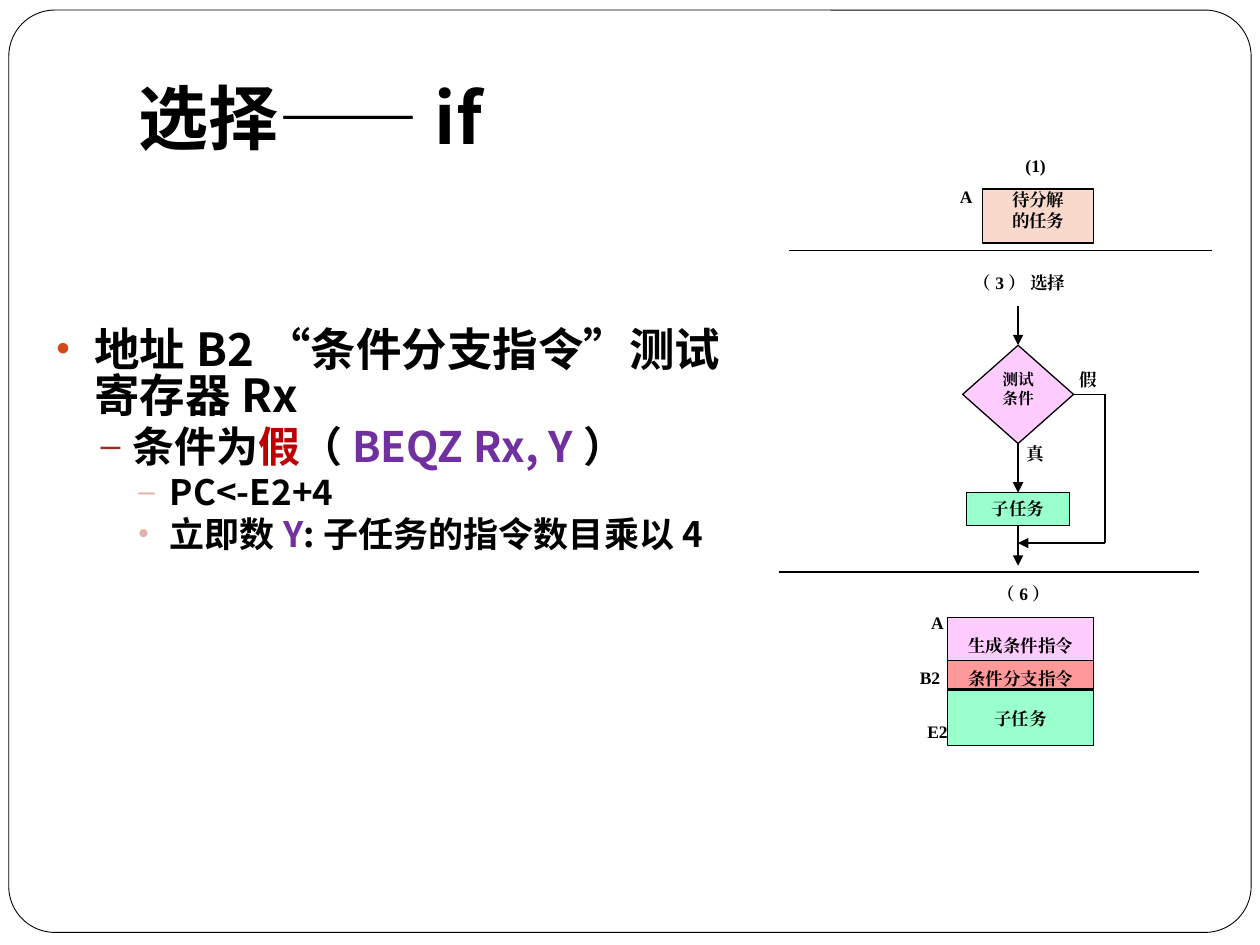
import pptx
import pptx.dml.color
import pptx.enum.shapes
import pptx.enum.text
import pptx.oxml.ns
import pptx.util
from lxml import etree

Inches, Pt = pptx.util.Inches, pptx.util.Pt
SHAPE = pptx.enum.shapes.MSO_SHAPE
ALIGN = pptx.enum.text.PP_ALIGN
ANCHOR = pptx.enum.text.MSO_ANCHOR
qn = pptx.oxml.ns.qn

SANS, SERIF = "Noto Sans CJK SC", "Times New Roman"
COLORS = {
    "white": "FFFFFF", "black": "000000", "red": "C00000", "purple": "7030A0",
    "peach": "FAD9CD", "pink": "FFCCFF", "coral": "FF9999", "mint": "99FFCC",
    "bullet1": "D34817", "bullet2": "9B2D1F", "bullet3": "E6B1AB",
}
TOP, LEFT, BOTTOM, RIGHT = range(4)


def rgb(name):
    return pptx.dml.color.RGBColor.from_string(COLORS[name])


def add_text(paragraph, text, size=10, font=SERIF, color="black"):
    """Add one bold run, with the same font for Latin and Chinese."""
    run = paragraph.add_run()
    run.text = text
    run.font.size = Pt(size)
    run.font.bold = True
    run.font.name = font
    run.font.color.rgb = rgb(color)
    etree.SubElement(run.font._element, qn("a:ea"), typeface=font)


class SlideBuilder:
    def __init__(self, slide, line_width=0.75):
        self.slide = slide
        self.line_width = line_width

    def frame(self, shape, insets, anchor):
        frame = shape.text_frame
        frame.word_wrap = True
        frame.vertical_anchor = anchor
        (frame.margin_left, frame.margin_top,
         frame.margin_right, frame.margin_bottom) = map(Inches, insets)
        return frame

    def textbox(self, box, insets=(0.1, 0.05, 0.1, 0.05), anchor=ANCHOR.TOP):
        shape = self.slide.shapes.add_textbox(*map(Inches, box))
        return self.frame(shape, insets, anchor)

    def label(self, text, box, **frame_format):
        add_text(self.textbox(box, **frame_format).paragraphs[0], text)

    def block(self, box, fill, lines=(), kind=SHAPE.RECTANGLE, size=10,
              insets=(0.1, 0, 0.1, 0), anchor=ANCHOR.MIDDLE, width=None):
        shape = self.slide.shapes.add_shape(kind, *map(Inches, box))
        shape.shadow.inherit = False
        shape.fill.solid()
        shape.fill.fore_color.rgb = rgb(fill)
        shape.line.color.rgb = rgb("black")
        shape.line.width = Pt(width or self.line_width)
        frame = self.frame(shape, insets, anchor)
        for i, text in enumerate(lines):
            paragraph = frame.add_paragraph() if i else frame.paragraphs[0]
            paragraph.alignment = ALIGN.CENTER
            add_text(paragraph, text, size)
        return shape

    def line(self, start, end, arrow=False, source=None, target=None):
        """source and target are (shape, side) pairs to join."""
        connector = self.slide.shapes.add_connector(
            pptx.enum.shapes.MSO_CONNECTOR.STRAIGHT,
            *map(Inches, (*start, *end)))
        connector.line.color.rgb = rgb("black")
        connector.line.width = Pt(self.line_width)
        if arrow:
            etree.SubElement(connector.line._get_or_add_ln(),
                             qn("a:tailEnd"), type="triangle")
        etree.SubElement(connector._element.spPr, qn("a:effectLst"))
        if source:
            connector.begin_connect(*source)
        if target:
            connector.end_connect(*target)

    def bullet(self, paragraph, runs, size, indent, hanging, mark, color, before):
        properties = paragraph._p.get_or_add_pPr()
        properties.set("marL", str(Inches(indent)))
        properties.set("indent", str(-Inches(hanging)))
        paragraph.line_spacing = 0.84
        paragraph.space_before = Pt(before)
        bullet_color = etree.SubElement(properties, qn("a:buClr"))
        etree.SubElement(bullet_color, qn("a:srgbClr"), val=COLORS[color])
        etree.SubElement(properties, qn("a:buSzPct"), val="85000")
        etree.SubElement(properties, qn("a:buFont"), typeface="Arial")
        etree.SubElement(properties, qn("a:buChar"), char=mark)
        for text, text_color in runs:
            add_text(paragraph, text, size, SANS, text_color)


def main():
    deck = pptx.Presentation()
    deck.slide_width, deck.slide_height = Inches(10), Inches(7.5)
    page = SlideBuilder(deck.slides.add_slide(deck.slide_layouts[6]))

    # Rounded border
    border = page.block((0.07, 0.08, 9.86, 7.32), "white",
                        kind=SHAPE.ROUNDED_RECTANGLE, width=0.5)
    border.adjustments[0] = 0.05

    # Title
    title = page.textbox((1, 0.3, 8.5, 1.25), anchor=ANCHOR.MIDDLE)
    add_text(title.paragraphs[0], "选择——if", 40, SANS)

    # Explanation: runs, size, indent, hanging, mark, mark colour, space before
    points = [
        ([("地址B2“条件分支指令”测试寄存器Rx", "black")],
         26, 0.3, 0.3, "•", "bullet1", 0),
        ([("条件为", "black"), ("假", "red"), ("（", "black"),
          ("BEQZ Rx, Y", "purple"), ("）", "black")],
         24, 0.6, 0.25, "–", "bullet2", 3.7),
        ([("PC<-E2+4", "black")], 20, 0.9, 0.25, "–", "bullet3", 3.7),
        ([("立即数", "black"), ("Y", "purple"),
          (":子任务的指令数目乘以4", "black")],
         20, 0.9, 0.25, "•", "bullet3", 3.7),
    ]
    explanation = page.textbox((0.35, 2.57, 5.83, 4.49))
    for i, point in enumerate(points):
        paragraph = explanation.add_paragraph() if i else explanation.paragraphs[0]
        page.bullet(paragraph, *point)

    # Part 1: the task to split
    page.block((7.8, 1.5, 0.88, 0.43), "peach", ["待分解", "的任务"],
               anchor=ANCHOR.TOP)

    # Part 3: flow chart of the selection
    axis, branch_x, branch_y, merge_y = 8.08, 8.77, 3.13, 4.31
    subtask = page.block((7.67, 3.91, 0.82, 0.26), "mint", ["子任务"])
    test = page.block((7.64, 2.74, 0.88, 0.78), "pink", ["测试", "条件"],
                      kind=SHAPE.FLOWCHART_DECISION, size=9,
                      insets=(0, 0, 0, 0), anchor=ANCHOR.TOP)
    # The diamond's own text area starts a quarter of the way down
    page.line((axis, 2.43), (axis, 2.74), arrow=True, target=(test, TOP))
    page.line((axis, 3.52), (axis, 3.91), arrow=True,
              source=(test, BOTTOM), target=(subtask, TOP))
    page.line((axis, 4.17), (axis, 4.49), arrow=True, source=(subtask, BOTTOM))
    page.line((8.52, branch_y), (branch_x, branch_y), source=(test, RIGHT))
    page.line((branch_x, branch_y), (branch_x, merge_y))
    page.line((branch_x, merge_y), (axis, merge_y), arrow=True)

    # Part 6: instruction layout in memory
    for top, height, fill, text, inset in [
            (4.9, 0.39, "pink", "生成条件指令", 0.06),
            (5.48, 0.44, "mint", "子任务", 0),
            (5.24, 0.23, "coral", "条件分支指令", 0.06)]:
        page.block((7.52, top, 1.16, height), fill, [text],
                   insets=(0.1, inset, 0.1, 0))

    # Rules between the parts
    for left, right, y in [(6.26, 9.62, 1.99), (6.18, 9.52, 4.54)]:
        page.line((left, y), (right, y))

    # Part headings and branch labels
    for text, box in [
            ("(1)", (8.04, 1.18, 0.38, 0.33)),
            ("A", (7.52, 1.43, 0.29, 0.29)),
            ("（3） 选择", (7.63, 2.11, 1.18, 0.33)),
            ("真", (8.05, 3.47, 0.35, 0.33)),
            ("假", (8.47, 2.88, 0.35, 0.33)),
            ("（6）", (7.82, 4.58, 0.71, 0.33))]:
        page.label(text, box)

    # Memory addresses
    for text, box in [("A", (7.39, 4.86, 0.14, 0.2)),
                      ("B2", (7.3, 5.29, 0.24, 0.21)),
                      ("E2", (7.36, 5.72, 0.24, 0.21))]:
        page.label(text, box, insets=(0, 0, 0, 0))

    deck.save("out.pptx")


if __name__ == "__main__":
    main()
